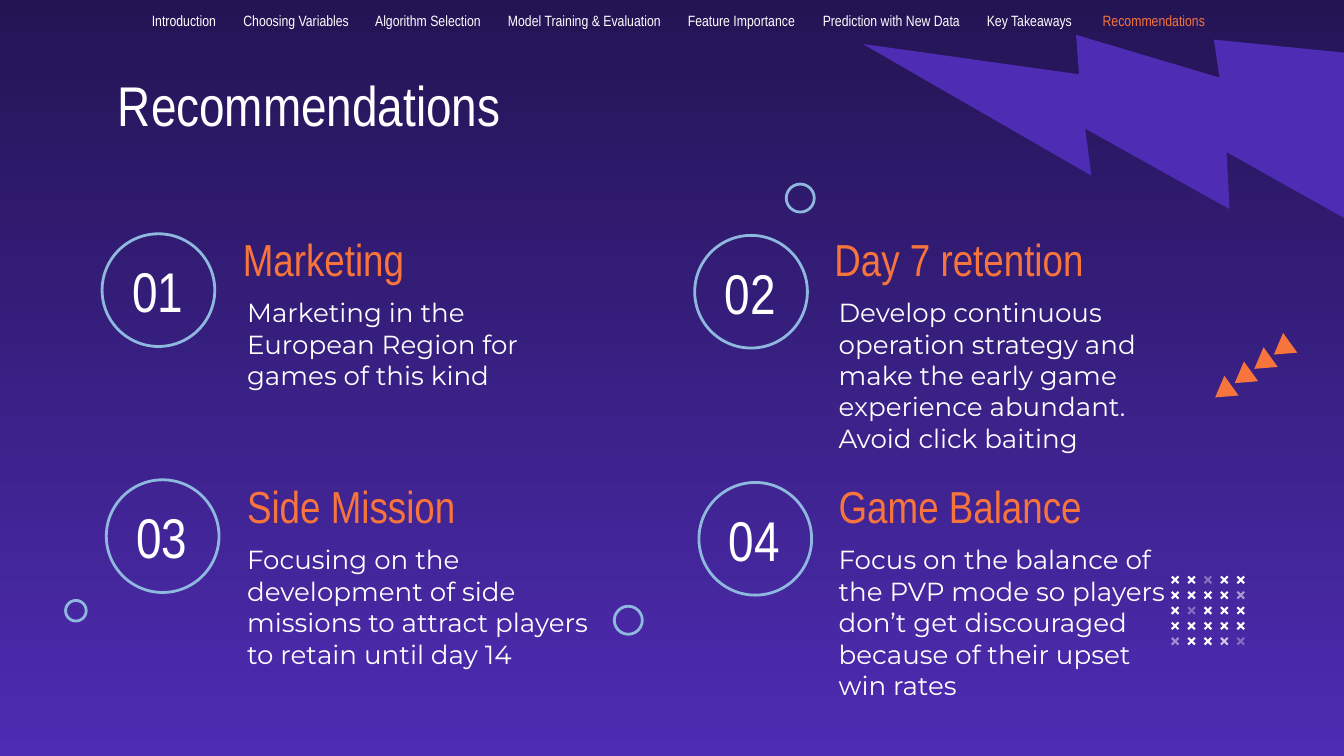
"""Build the Recommendations slide with four numbered suggestions."""
import lxml.etree
import pptx
import pptx.dml.color
import pptx.enum.shapes
import pptx.enum.text
import pptx.oxml.ns
import pptx.util

Cm = pptx.util.Cm
Pt = pptx.util.Pt
SHAPE = pptx.enum.shapes.MSO_SHAPE
ANCHOR = pptx.enum.text.MSO_ANCHOR
ALIGN = pptx.enum.text.PP_ALIGN
qn = pptx.oxml.ns.qn
rgb = pptx.dml.color.RGBColor.from_string

COLORS = {
    "night": "241454",
    "violet": "4E2CB3",
    "orange": "F7743C",
    "sky": "8EB8DE",
    "white": "FFFFFF",
}
NARROW = "Arial Narrow"


def add_figure(kind, left, top, width, height, fill=None, angle=0):
    figure = page.shapes.add_shape(kind, Cm(left), Cm(top), Cm(width), Cm(height))
    figure.shadow.inherit = False
    figure.rotation = angle
    if fill:
        figure.fill.solid()
        figure.fill.fore_color.rgb = rgb(COLORS[fill])
        figure.line.fill.background()
    else:
        figure.fill.background()
        figure.line.color.rgb = rgb(COLORS["sky"])
        figure.line.width = Pt(1.5)
    return figure


def add_text(spans, left, top, width, height, size, font=NARROW,
             anchor=ANCHOR.MIDDLE, align=ALIGN.LEFT, inset=0.25):
    box = page.shapes.add_textbox(Cm(left), Cm(top), Cm(width), Cm(height))
    frame = box.text_frame
    frame.word_wrap = True
    frame.vertical_anchor = anchor
    frame.margin_left = frame.margin_right = Cm(inset)
    frame.margin_top = frame.margin_bottom = Cm(inset)
    para = frame.paragraphs[0]
    para.alignment = align
    for text, color in spans:
        span = para.add_run()
        span.text = text
        span.font.size = Pt(size)
        span.font.name = font
        span.font.color.rgb = rgb(COLORS[color])
    return para


deck = pptx.Presentation()
deck.slide_width = Cm(25.4)
deck.slide_height = Cm(14.29)
page = deck.slides.add_slide(deck.slide_layouts[6])

backdrop = page.background.fill
backdrop.gradient()
backdrop.gradient_angle = 270
for stop, color, position in zip(backdrop.gradient_stops, ("night", "violet"), (0, 1)):
    stop.color.rgb = rgb(COLORS[color])
    stop.position = position

bolt = add_figure(SHAPE.LIGHTNING_BOLT, 17.78, -1.73, 8.05, 8.05, "violet", 59.9)
bolt._element.spPr.get_or_add_xfrm().set("flipH", "1")

add_text([("Recommendations", "white")], 1.98, 1.09, 21.41, 1.63, 30, anchor=ANCHOR.TOP)

recommendations = [
    ("01", "Marketing", "Marketing in the European Region for games of this kind",
     (1.93, 4.42), 4.34),
    ("02", "Day 7 retention", "Develop continuous operation strategy and make the early "
     "game experience abundant. Avoid click baiting", (13.13, 4.45), 15.52),
    ("03", "Side Mission", "Focusing on the development of side missions to attract "
     "players to retain until day 14", (2.01, 9.07), 4.42),
    ("04", "Game Balance", "Focus on the balance of the PVP mode so players don’t get "
     "discouraged because of their upset win rates", (13.21, 9.12), 15.6),
]
for index, (number, heading, advice, (left, top), heading_left) in enumerate(recommendations):
    row, column = divmod(index, 2)
    row_top = 4.42 + 4.67 * row
    add_figure(SHAPE.OVAL, left, top, 2.13, 2.13)
    add_text([(number, "white")], left - 0.08, top - 0.15, 2.26, 2.44, 30, align=ALIGN.CENTER)
    add_text([(heading, "orange")], heading_left, row_top, 8.66, 0.94, 24)
    add_text([(advice, "white")], 4.42 + 11.18 * column, row_top + 0.94, 7.01, 1.63, 14,
             font="Montserrat", anchor=ANCHOR.TOP)

faded = {(0, 2): 36, (1, 4): 53, (2, 1): 34, (4, 0): 48, (4, 3): 75, (4, 4): 33}
for row in range(5):
    for column in range(5):
        cross = add_figure(SHAPE.CROSS, 22.12 + 0.31 * column, 10.87 + 0.29 * row,
                           0.18, 0.18, "white", 315)
        cross.adjustments[0] = 0.39
        if (row, column) in faded:
            tint = cross._element.spPr.find(qn("a:solidFill"))[0]
            alpha = lxml.etree.SubElement(tint, qn("a:alpha"))
            alpha.set("val", str(faded[row, column] * 1000))

for left, top, size in [(1.24, 11.35, 0.39), (14.86, 3.48, 0.53), (11.61, 11.46, 0.53)]:
    add_figure(SHAPE.OVAL, left, top, size, size)

for step in range(4):
    add_figure(SHAPE.ISOSCELES_TRIANGLE, 22.89 + 0.37 * step, 7.21 - 0.27 * step,
               0.46, 0.38, "orange", 234.2)

sections = ["Introduction", "Choosing Variables", "Algorithm Selection",
            "Model Training & Evaluation", "Feature Importance",
            "Prediction with New Data", "Key Takeaways"]
spans = [(section + "\t", "white") for section in sections]
spans.append(("Recommendations", "orange"))
menu = add_text(spans, 2.87, 0.2, 22.45, 0.38, 8, inset=0)
tabs = lxml.etree.SubElement(menu._p.get_or_add_pPr(), qn("a:tabLst"))
for position in (1.73, 4.22, 6.73, 10.13, 12.68, 15.78, 17.97):
    tab = lxml.etree.SubElement(tabs, qn("a:tab"))
    tab.set("pos", str(Cm(position)))
    tab.set("algn", "l")

deck.save("out.pptx")
